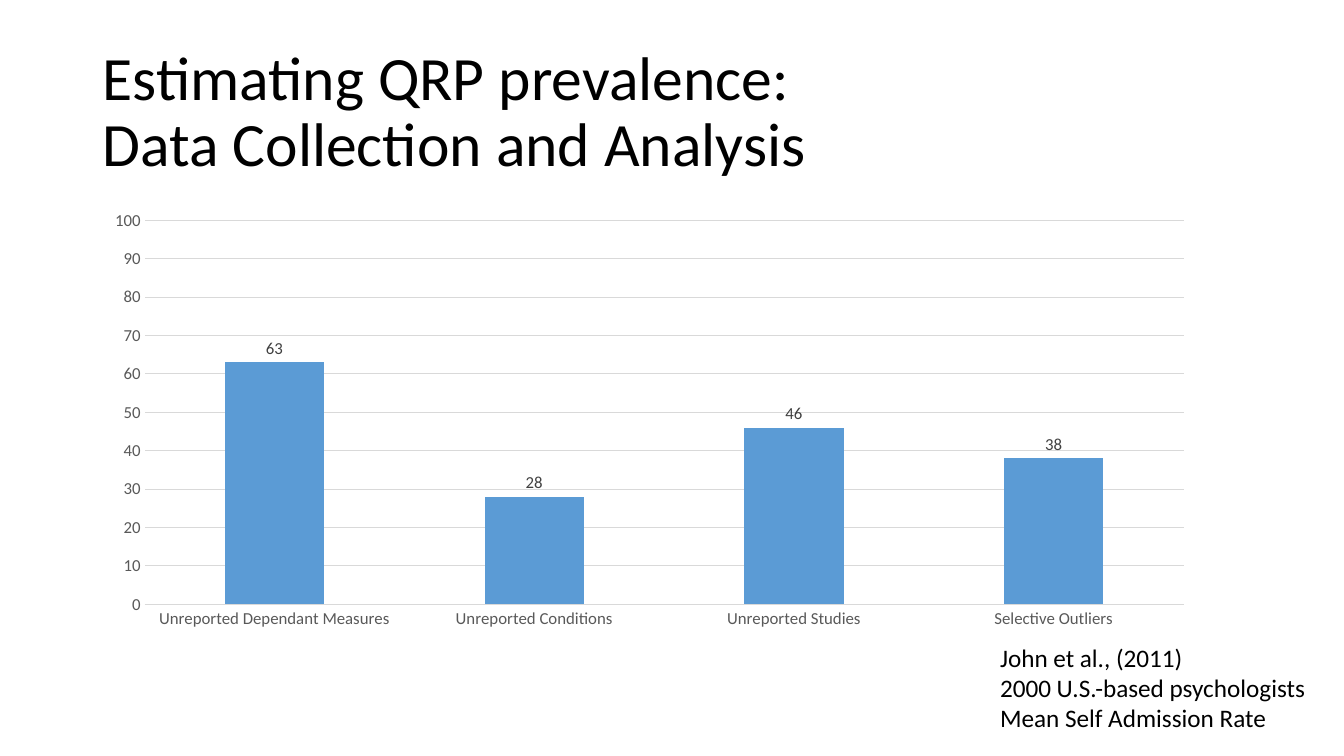
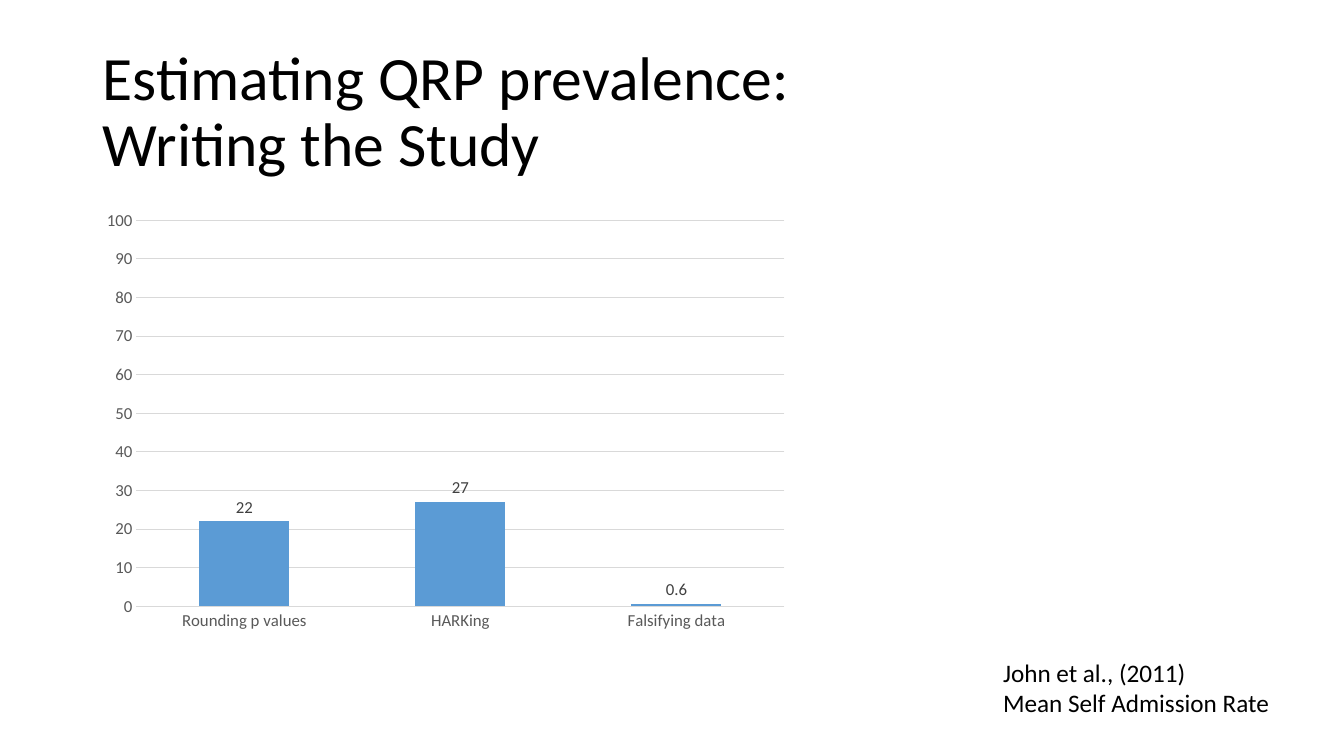
import pptx
import pptx.chart.data
import pptx.dml.color
import pptx.enum.chart
import pptx.enum.text
import pptx.util
from dataclasses import dataclass

Inches = pptx.util.Inches
Pt = pptx.util.Pt


@dataclass(frozen=True)
class Theme:
    font: str = "Calibri"
    text: str = "000000"
    axis: str = "595959"
    label: str = "404040"
    rule: str = "D9D9D9"
    bar: str = "5B9BD5"
    title_size: int = 44
    note_size: int = 18
    chart_size: int = 12
    rule_width: float = 0.75


def assign(target, values):
    for name, value in values.items():
        setattr(target, name, value)


def color(code):
    return pptx.dml.color.RGBColor.from_string(code)


class SlideBuilder:
    def __init__(self, deck, theme):
        self.deck = deck
        self.theme = theme
        self.page = None

    def add_page(self):
        self.page = self.deck.slides.add_slide(self.deck.slide_layouts[6])

    def style_font(self, font, size, code):
        assign(font, {"name": self.theme.font, "size": Pt(size)})
        font.color.rgb = color(code)

    def style_rule(self, line):
        line.color.rgb = color(self.theme.rule)
        line.width = Pt(self.theme.rule_width)

    def add_text(self, lines, place, size, frame_format, spacing=1.0):
        box = self.page.shapes.add_textbox(*map(Inches, place))
        assign(box.text_frame, frame_format)
        para = box.text_frame.paragraphs[0]
        para.line_spacing = spacing
        para.text = "\v".join(lines)
        for span in para.runs:
            self.style_font(span.font, size, self.theme.text)

    def add_title(self, topic):
        self.add_text(
            ["Estimating QRP prevalence:", topic],
            (0.92, 0.4, 11.5, 1.45),
            self.theme.title_size,
            {"word_wrap": True, "vertical_anchor": pptx.enum.text.MSO_ANCHOR.MIDDLE},
            0.9,
        )

    def add_note(self, lines, place):
        self.add_text(
            lines,
            place,
            self.theme.note_size,
            {"word_wrap": False, "auto_size": pptx.enum.text.MSO_AUTO_SIZE.SHAPE_TO_FIT_TEXT},
        )

    def add_rates(self, rates, width, height, gap):
        theme = self.theme
        data = pptx.chart.data.CategoryChartData()
        data.categories = list(rates)
        data.add_series("Series 1", list(rates.values()))
        chart = self.page.shapes.add_chart(
            pptx.enum.chart.XL_CHART_TYPE.COLUMN_CLUSTERED,
            *map(Inches, (0.92, 2, width, height)), data,
        ).chart
        assign(chart, {"has_legend": False, "has_title": False})
        self.style_font(chart.font, theme.chart_size, theme.text)

        no_tick = pptx.enum.chart.XL_TICK_MARK.NONE
        for axis in (chart.category_axis, chart.value_axis):
            assign(axis, {"major_tick_mark": no_tick, "minor_tick_mark": no_tick})
            self.style_font(axis.tick_labels.font, theme.chart_size, theme.axis)
        self.style_rule(chart.category_axis.format.line)
        assign(chart.value_axis, {
            "minimum_scale": 0, "maximum_scale": 100,
            "major_unit": 10, "has_major_gridlines": True,
        })
        chart.value_axis.format.line.fill.background()
        self.style_rule(chart.value_axis.major_gridlines.format.line)

        plot = chart.plots[0]
        assign(plot, {
            "gap_width": gap, "overlap": -27,
            "vary_by_categories": False, "has_data_labels": True,
        })
        assign(plot.data_labels, {
            "show_value": True,
            "position": pptx.enum.chart.XL_LABEL_POSITION.OUTSIDE_END,
        })
        self.style_font(plot.data_labels.font, theme.chart_size, theme.label)
        fill = plot.series[0].format.fill
        fill.solid()
        fill.fore_color.rgb = color(theme.bar)


def main():
    deck = pptx.Presentation()
    assign(deck, {"slide_width": Inches(13.33), "slide_height": Inches(7.5)})
    builder = SlideBuilder(deck, Theme())
    source, measure = "John et al., (2011)", "Mean Self Admission Rate"

    builder.add_page()
    builder.add_title("Data Collection and Analysis")
    builder.add_rates({
        "Unreported Dependant Measures": 63,
        "Unreported Conditions": 28,
        "Unreported Studies": 46,
        "Selective Outliers": 38,
    }, 11.04, 4.32, 162)
    builder.add_note([source, "2000 U.S.-based psychologists", measure], (9.82, 6.32, 3.34, 1.01))

    builder.add_page()
    builder.add_title("Writing the Study")
    builder.add_rates({
        "Rounding p values": 22,
        "HARKing": 27,
        "Falsifying data": 0.6,
    }, 7, 4.34, 140)
    builder.add_note([source, measure], (9.85, 6.47, 2.93, 0.71))

    deck.save("out.pptx")


if __name__ == "__main__":
    main()
